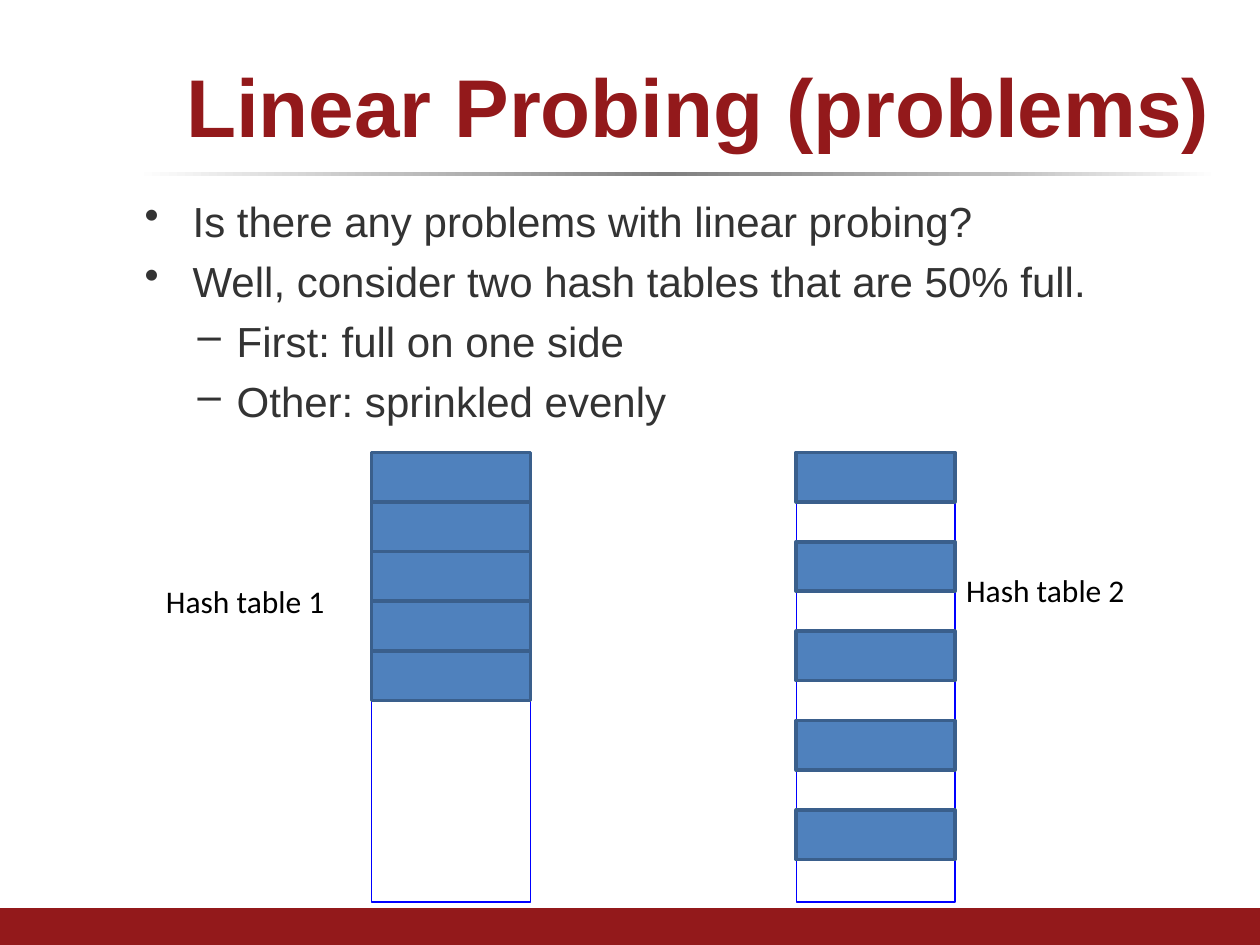
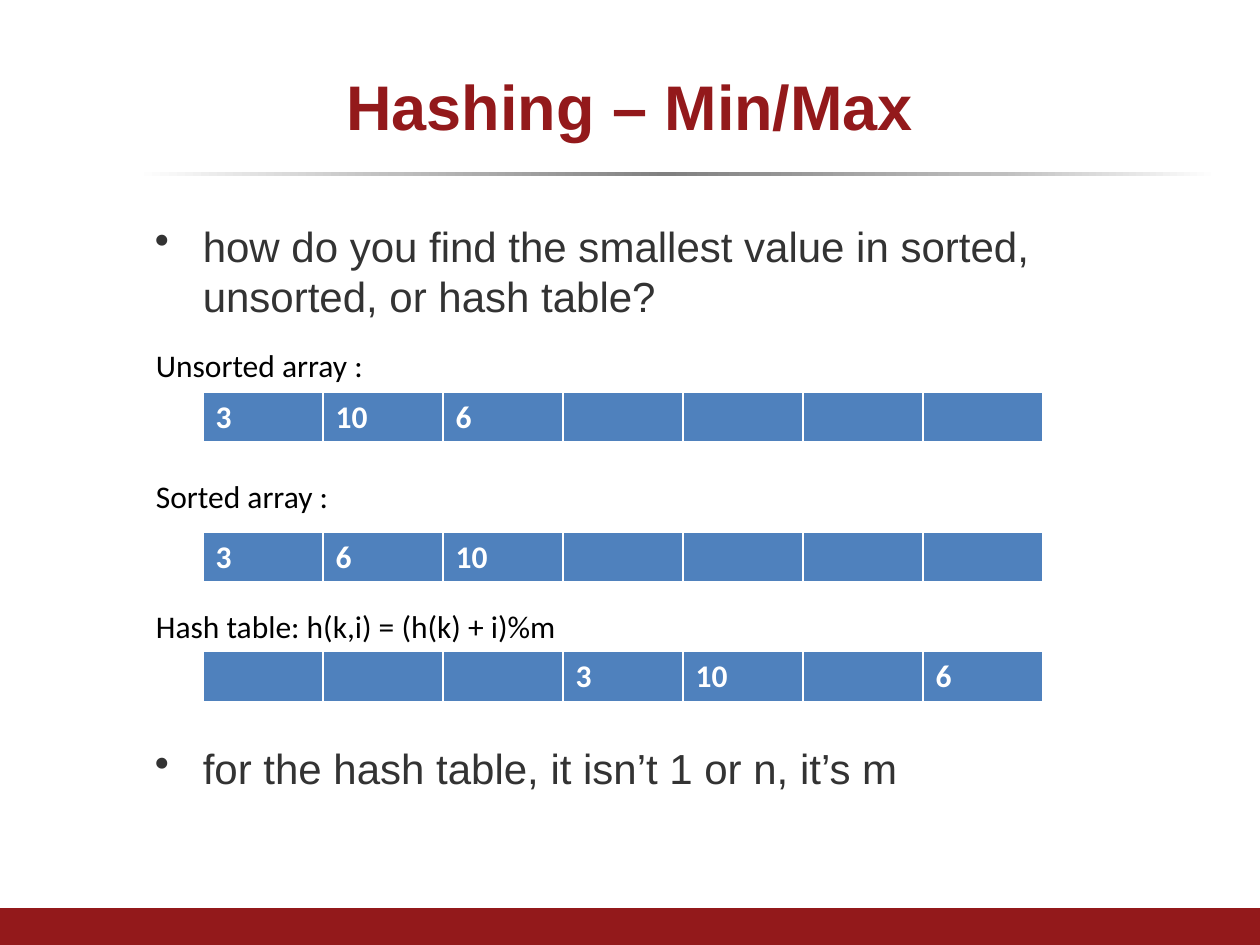
import lxml.etree
import pptx
import pptx.dml.color
import pptx.enum.shapes
import pptx.enum.text
import pptx.oxml.ns
import pptx.util

Pt = pptx.util.Pt
qn = pptx.oxml.ns.qn
RECT = pptx.enum.shapes.MSO_SHAPE.RECTANGLE
ANCHOR = pptx.enum.text.MSO_ANCHOR
ALIGN = pptx.enum.text.PP_ALIGN

COLORS = {
    "red": "93191B",
    "body": "333333",
    "black": "000000",
    "white": "FFFFFF",
    "silver": "BFBFBF",
    "gray": "808080",
    "blue": "4F81BD",
    "edge": "3A5F8C",
    "outline": "0000FF",
}
RULE_STOPS = [(0, "white"), (24, "silver"), (49, "gray"), (80, "silver"), (100, "white")]
BULLETS = [("•", 49, -27.4), ("–", 74.2, -22.3)]
BORDERS = [("a:lnL", 1), ("a:lnR", 1), ("a:lnT", 1), ("a:lnB", 3)]
SLOTS = 7
SLOT_W = 480 / SLOTS
SLOT_H = 29.5
BAR_W = 90.7
BAR_H = 28.3
COLUMN_TOP = 258.5
COLUMN_H = 257


def rgb(name):
    return pptx.dml.color.RGBColor.from_string(COLORS[name])


def set_font(p, size, color, name="Calibri", bold=False):
    p.font.size = Pt(size)
    p.font.name = name
    p.font.bold = bold
    p.font.color.rgb = rgb(color)


def add_rect(shapes, x, y, w, h, fill=None, line=None, weight=1):
    sp = shapes.add_shape(RECT, Pt(x), Pt(y), Pt(w), Pt(h))
    sp.shadow.inherit = False
    if fill:
        sp.fill.solid()
        sp.fill.fore_color.rgb = rgb(fill)
    else:
        sp.fill.background()
    if line:
        sp.line.color.rgb = rgb(line)
        sp.line.width = Pt(weight)
    else:
        sp.line.fill.background()
    return sp


def add_text(s, x, y, w, h):
    tf = s.shapes.add_textbox(Pt(x), Pt(y), Pt(w), Pt(h)).text_frame
    tf.word_wrap = True
    return tf


def add_solid(parent, color):
    fill = lxml.etree.SubElement(parent, qn("a:solidFill"))
    lxml.etree.SubElement(fill, qn("a:srgbClr"), val=COLORS[color])


def add_rule(s):
    sp = add_rect(s.shapes, 77.8, 98.6, 617.8, 2.2)
    sp.fill.gradient()
    sp.fill.gradient_angle = 0
    stops = sp._element.spPr.find(qn("a:gradFill")).find(qn("a:gsLst"))
    for stop in list(stops):
        stops.remove(stop)
    for pos, color in RULE_STOPS:
        stop = lxml.etree.SubElement(stops, qn("a:gs"), pos=str(pos * 1000))
        lxml.etree.SubElement(stop, qn("a:srgbClr"), val=COLORS[color])


def add_slide(prs, title, x, size):
    s = prs.slides.add_slide(prs.slide_layouts[6])
    add_rule(s)
    add_rect(s.shapes, 0, 519, 720, 21, "red")
    tf = add_text(s, x, 21.6, 648, 77)
    tf.vertical_anchor = ANCHOR.MIDDLE
    p = tf.paragraphs[0]
    p.text = title
    p.alignment = ALIGN.CENTER
    set_font(p, size, "red", "Arial", True)
    return s


def add_bullets(s, x, y, w, h, items):
    tf = add_text(s, x, y, w, h)
    for i, (text, level, gap) in enumerate(items):
        p = tf.paragraphs[0] if i == 0 else tf.add_paragraph()
        p.text = text
        p.level = level
        p.space_before = Pt(gap)
        set_font(p, 24, "body", "Arial")
        char, margin, indent = BULLETS[level]
        pPr = p._p.get_or_add_pPr()
        pPr.set("marL", str(int(Pt(margin))))
        pPr.set("indent", str(int(Pt(indent))))
        bullet = pPr.makeelement(qn("a:buChar"), {"char": char})
        pPr.find(qn("a:defRPr")).addprevious(bullet)


def add_label(s, x, y, w, text):
    p = add_text(s, x, y, w, 29).paragraphs[0]
    p.text = text
    set_font(p, 18, "black")


def add_hash_column(s, x, pitch):
    shapes = s.shapes.add_group_shape().shapes
    add_rect(shapes, x, COLUMN_TOP, BAR_W, COLUMN_H, line="outline", weight=0.75)
    for i in range(5):
        add_rect(shapes, x, COLUMN_TOP + i * pitch, BAR_W, BAR_H, "blue", "edge", 2)


def add_array(s, y, values):
    frame = s.shapes.add_table(1, SLOTS, Pt(116), Pt(y), Pt(SLOT_W * SLOTS), Pt(SLOT_H))
    table = frame.table
    table.horz_banding = False
    for i in range(SLOTS):
        table.columns[i].width = Pt(SLOT_W)
        cell = table.cell(0, i)
        p = cell.text_frame.paragraphs[0]
        p.text = values.get(i, "")
        set_font(p, 18, "white", bold=True)
        tcPr = cell._tc.get_or_add_tcPr()
        for tag, weight in BORDERS:
            ln = lxml.etree.SubElement(tcPr, qn(tag), w=str(int(Pt(weight))))
            add_solid(ln, "white")
        cell.fill.solid()
        cell.fill.fore_color.rgb = rgb("blue")


def build_probing(prs):
    s = add_slide(prs, "Linear Probing (problems)", 75, 46.8)
    add_bullets(s, 54, 108, 648, 408, [
        ("Is there any problems with linear probing?", 0, 5.5),
        ("Well, consider two hash tables that are 50% full.", 0, 5.5),
        ("First: full on one side", 1, 5.5),
        ("Other: sprinkled evenly", 1, 5.5),
    ])
    add_hash_column(s, 455, 51.1)
    add_hash_column(s, 212.4, 28.4)
    add_label(s, 87.8, 329, 113, "Hash table 1")
    add_label(s, 545, 322.6, 113, "Hash table 2")


def build_min_max(prs):
    s = add_slide(prs, "Hashing – Min/Max", 36, 36)
    add_bullets(s, 59.8, 122.4, 590.4, 348.5, [
        ("how do you find the smallest value in sorted, unsorted, or hash table?", 0, 5.5),
        ("for the hash table, it isn’t 1 or n, it’s m", 0, 241),
    ])
    arrays = [
        ("Unsorted array :", 194.4, 224, {0: "3", 1: "10", 2: "6"}),
        ("Sorted array :", 269, 304, {0: "3", 1: "6", 2: "10"}),
        ("Hash table: h(k,i) = (h(k) + i)%m", 343.5, 372.3, {3: "3", 4: "10", 6: "6"}),
    ]
    for text, label_y, array_y, values in arrays:
        add_array(s, array_y, values)
        add_label(s, 82, label_y, 284, text)


def main():
    prs = pptx.Presentation()
    prs.slide_width = Pt(720)
    prs.slide_height = Pt(540)
    build_probing(prs)
    build_min_max(prs)
    prs.save("out.pptx")


main()
